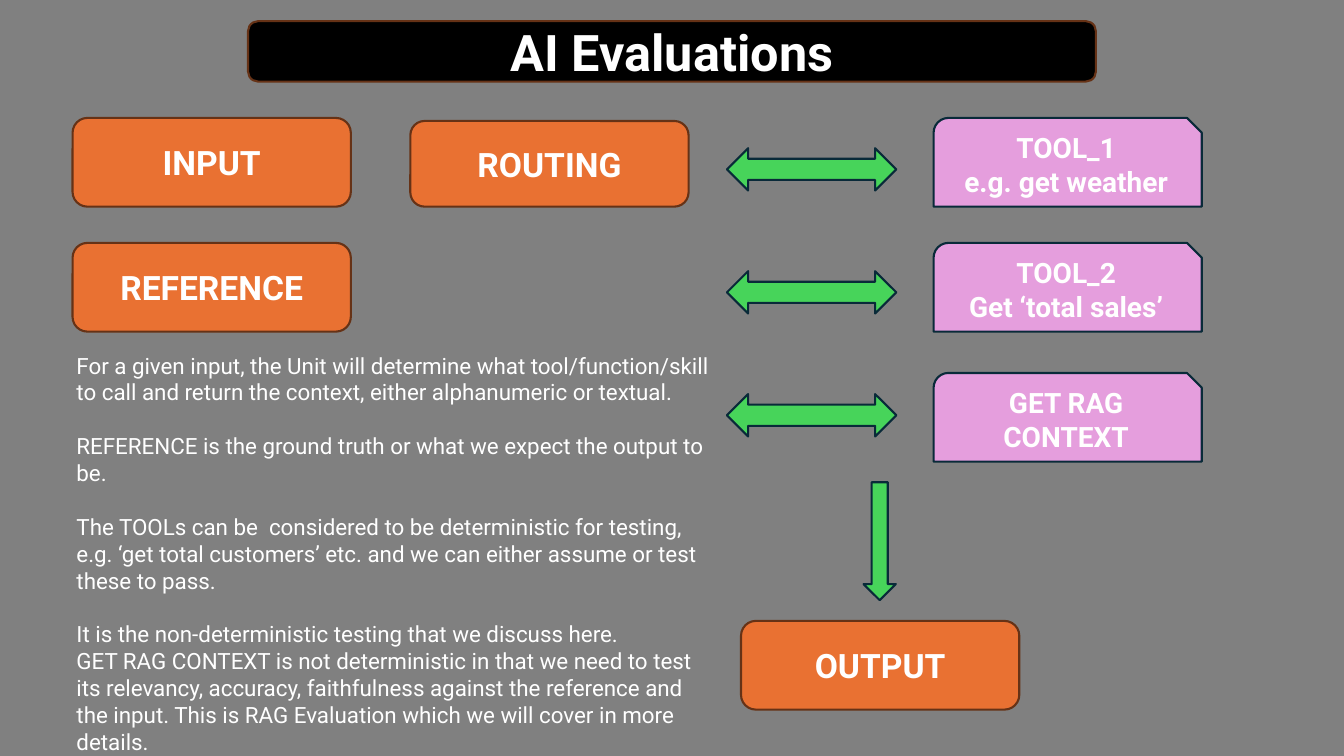
from pptx import Presentation
from pptx import util as u
from pptx.dml.color import RGBColor
from pptx.enum import shapes, text

COLORS = {
    "background": "808080",
    "banner": "000000",
    "step": "E97132",
    "step_line": "663216",
    "tool": "E59EDD",
    "arrow": "47D45A",
    "dark_line": "092A39",
    "text": "FFFFFF",
}
SHAPE = shapes.MSO_SHAPE
ALIGN = text.PP_ALIGN
ANCHOR = text.MSO_ANCHOR


def color(name):
    return RGBColor.from_string(COLORS[name])


def write(frame, lines, size, bold=False, align=ALIGN.LEFT, anchor=ANCHOR.TOP, gaps=None):
    """Fill a text frame; gaps maps a paragraph index to the space after it, in points."""
    frame.word_wrap = True
    frame.auto_size = text.MSO_AUTO_SIZE.NONE
    frame.vertical_anchor = anchor
    for index, line in enumerate(lines):
        paragraph = frame.paragraphs[0] if index == 0 else frame.add_paragraph()
        paragraph.alignment = align
        paragraph.space_after = u.Pt((gaps or {}).get(index, 0))
        run = paragraph.add_run()
        run.text = line
        run.font.name = "Roboto"
        run.font.size = u.Pt(size)
        run.font.bold = bold
        run.font.color.rgb = color("text")


class Diagram:
    def __init__(self, deck):
        self.slide = deck.slides.add_slide(deck.slide_layouts[5])
        fill = self.slide.background.fill
        fill.solid()
        fill.fore_color.rgb = color("background")

    def block(self, kind, box, fill, line):
        block = self.slide.shapes.add_shape(kind, *map(u.Inches, box))
        block.shadow.inherit = False
        block.fill.solid()
        block.fill.fore_color.rgb = color(fill)
        block.line.color.rgb = color(line)
        block.line.width = u.Pt(1.5)
        return block

    def label(self, block, lines, size):
        write(block.text_frame, lines, size, bold=True, align=ALIGN.CENTER, anchor=ANCHOR.MIDDLE)

    def title(self, words, box):
        banner = self.block(SHAPE.ROUNDED_RECTANGLE, box, "banner", "step_line")
        heading = self.slide.shapes.title
        heading.left, heading.top, heading.width, heading.height = map(u.Inches, box)
        self.label(heading, [words], 36)
        # Bring the heading in front of its banner
        banner.element.addnext(heading.element)

    def step(self, name, left, top, height=0.88):
        step = self.block(SHAPE.ROUNDED_RECTANGLE, (left, top, 2.76, height), "step", "step_line")
        self.label(step, [name], 24)

    def tool(self, lines, top):
        tool = self.block(SHAPE.SNIP_ROUND_RECTANGLE, (9.26, top, 2.66, 0.88), "tool", "dark_line")
        self.label(tool, lines, 20)

    def arrow(self, kind, box, rotation=0):
        self.block(kind, box, "arrow", "dark_line").rotation = rotation

    def notes(self, lines, box, gaps):
        notes = self.slide.shapes.add_textbox(*map(u.Inches, box))
        write(notes.text_frame, lines, 16, gaps=gaps)


def main():
    deck = Presentation()
    deck.slide_width, deck.slide_height = u.Inches(13.33), u.Inches(7.5)
    diagram = Diagram(deck)
    diagram.title("AI Evaluations", (2.46, 0.21, 8.41, 0.6))

    # Steps of the evaluated unit
    diagram.step("INPUT", 0.72, 1.17)
    diagram.step("REFERENCE", 0.72, 2.41)
    diagram.step("ROUTING", 4.07, 1.2, height=0.85)
    diagram.step("OUTPUT", 7.35, 6.16)

    # Tools, each with its two-way arrow
    tools = [
        (["TOOL_1", "e.g. get weather"], 1.17),
        (["TOOL_2", "Get ‘total sales’"], 2.41),
        (["GET RAG CONTEXT"], 3.7),
    ]
    for row, (lines, top) in enumerate(tools):
        diagram.tool(lines, top)
        diagram.arrow(SHAPE.LEFT_RIGHT_ARROW, (7.21, 1.47 + 1.22 * row, 1.68, 0.42))

    # Arrow down to the output
    diagram.arrow(SHAPE.RIGHT_ARROW, (8.14, 5.21, 1.17, 0.32), rotation=90)

    # Explanation
    explanation = [
        "For a given input, the Unit will determine what tool/function/skill to call "
        "and return the context, either alphanumeric or textual.",
        "REFERENCE is the ground truth or what we expect the output to be.",
        "The TOOLs can be  considered to be deterministic for testing, e.g. ‘get total "
        "customers’ etc. and we can either assume or test these to pass.",
        "It is the non-deterministic testing that we discuss here.",
        "GET RAG CONTEXT is not deterministic in that we need to test its relevancy, "
        "accuracy, faithfulness against the reference and the input. This is RAG "
        "Evaluation which we will cover in more details.",
    ]
    diagram.notes(explanation, (0.66, 3.44, 6.49, 4.06), gaps={0: 19.2, 1: 19.2, 2: 19.2})

    deck.save("out.pptx")


if __name__ == "__main__":
    main()
